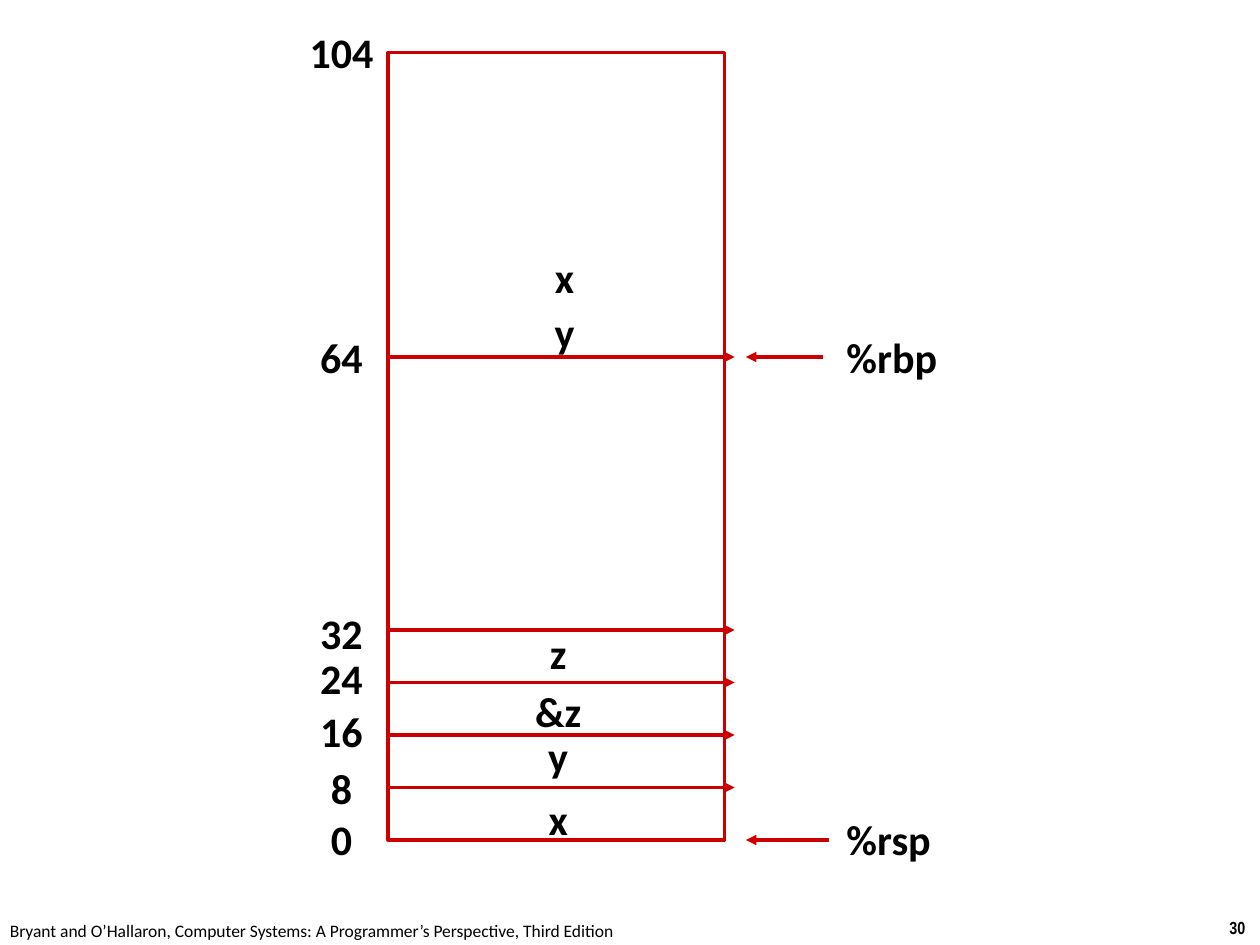
"""Draw a stack frame with byte offsets, stored values and register pointers."""
from lxml import etree
from pptx import Presentation
from pptx.dml.color import RGBColor
from pptx.enum.shapes import MSO_CONNECTOR, MSO_SHAPE
from pptx.enum.text import PP_ALIGN
from pptx.oxml.ns import qn
from pptx.util import Inches, Pt

RED = RGBColor(0xCC, 0x00, 0x00)
BLACK = RGBColor(0x00, 0x00, 0x00)
RECT = MSO_SHAPE.RECTANGLE
STRAIGHT = MSO_CONNECTOR.STRAIGHT
LEFT, MID = PP_ALIGN.LEFT, PP_ALIGN.CENTER

WIDE, HIGH = 10, 7.5
STEP = HIGH / 18
EDGE, SPAN = 3.08, 2.67
TOP, BASE = STEP, 16 * STEP
TALL = 0.5
RULES = [15, 14, 13, 12, 6.8]
MARKS = [("0", 6.41), ("8", 6), ("16", 5.55), ("24", 5.13),
         ("32", 4.77), ("64", 2.58), ("104", 0.16)]
LOCALS = [("x", 6.25), ("y", 5.75), ("&z", 5.39), ("z", 4.93)]
SAVED = [("x", 1.95), ("y", 2.38)]
POINTERS = [("%rsp", 6.41, BASE, 6.58), ("%rbp", 2.58, 6.8 * STEP, 6.53)]


def add_text(slide, text, left, top, width, height=TALL, align=LEFT,
             size=24, bold=True, face="Calibri"):
    box = slide.shapes.add_textbox(
        Inches(left), Inches(top), Inches(width), Inches(height))
    frame = box.text_frame
    frame.word_wrap = False
    frame.text = text
    para = frame.paragraphs[0]
    para.alignment = align
    font = para.runs[0].font
    font.name, font.size, font.bold = face, Pt(size), bold
    font.color.rgb = BLACK


def add_column(slide, items, center):
    width = 0.72
    for text, top in items:
        add_text(slide, text, center - width / 2, top, width, align=MID)


def add_arrow(slide, start, end, level):
    arrow = slide.shapes.add_connector(
        STRAIGHT, Inches(start), Inches(level), Inches(end), Inches(level))
    arrow.line.color.rgb = RED
    arrow.line.width = Pt(2)
    line = arrow.line._get_or_add_ln()
    etree.SubElement(line, qn("a:tailEnd"), type="triangle")
    etree.SubElement(arrow._element.spPr, qn("a:effectLst"))


def add_frame(slide):
    frame = slide.shapes.add_shape(
        RECT, Inches(EDGE), Inches(TOP), Inches(SPAN), Inches(BASE - TOP))
    frame.shadow.inherit = False
    frame.fill.background()
    frame.line.color.rgb = RED
    frame.line.width = Pt(2)


def main():
    deck = Presentation()
    deck.slide_width, deck.slide_height = Inches(WIDE), Inches(HIGH)
    slide = deck.slides.add_slide(deck.slide_layouts[6])

    add_text(slide, "30", 9.66, 7.23, 0.34, 0.27, size=10, face="Arial Narrow")
    add_text(slide, "Bryant and O’Hallaron, Computer Systems: "
             "A Programmer’s Perspective, Third Edition",
             -0.02, 7.25, 5.08, 0.27, size=10, bold=False)

    add_frame(slide)
    for row in RULES:
        add_arrow(slide, EDGE, 5.83, row * STEP)
    add_column(slide, MARKS, 2.71)
    add_column(slide, LOCALS, 4.43)
    add_column(slide, SAVED, 4.48)
    for name, top, level, start in POINTERS:
        add_arrow(slide, start, 5.92, level)
        add_text(slide, name, 6.62, top, 1)

    deck.save("out.pptx")


if __name__ == "__main__":
    main()
